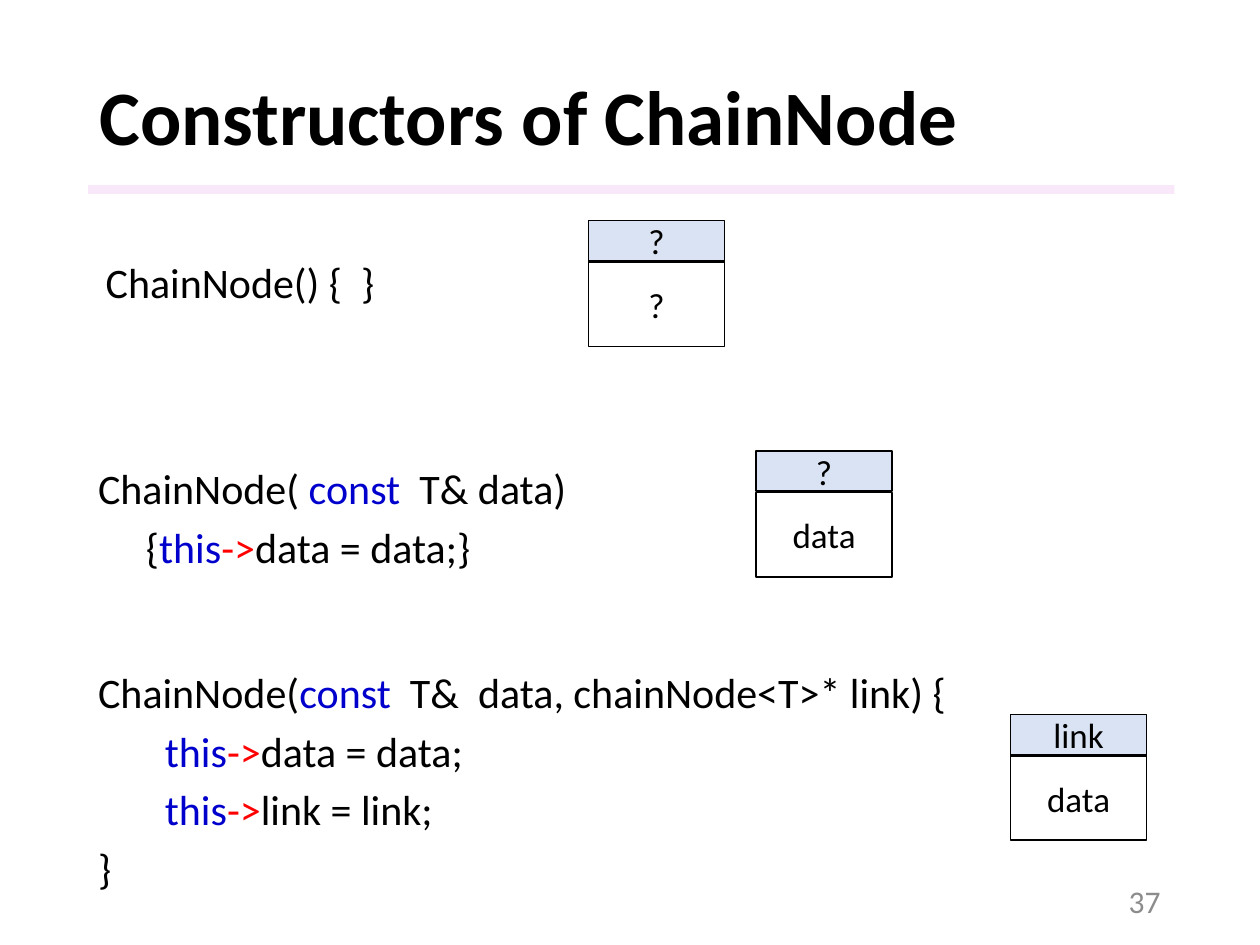
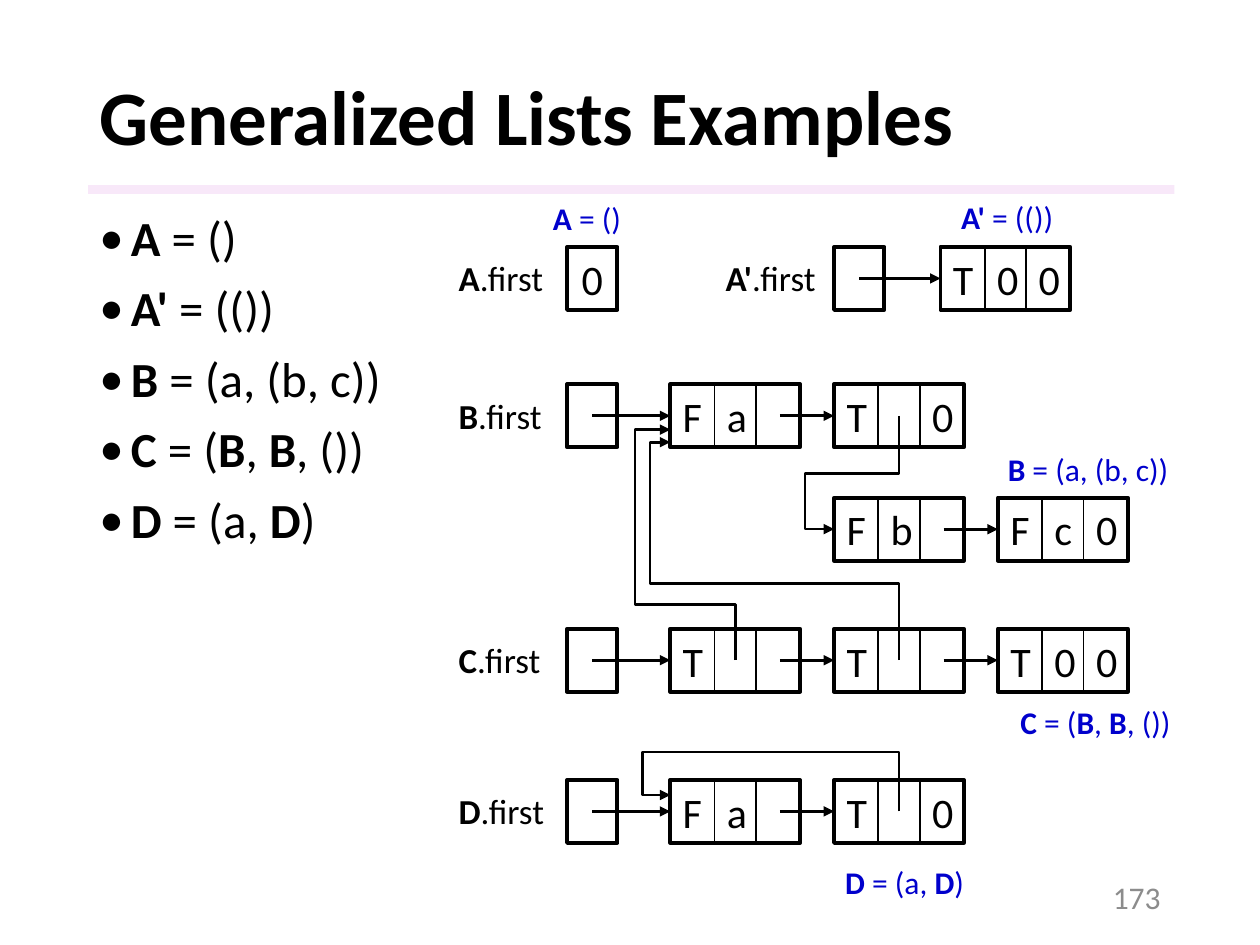
"""Build two lecture slides on chain nodes and generalized lists."""
from lxml.etree import SubElement
from pptx import Presentation
from pptx.dml.color import RGBColor
from pptx.enum.shapes import MSO_CONNECTOR, MSO_SHAPE
from pptx.enum.text import MSO_ANCHOR, MSO_AUTO_SIZE, PP_ALIGN
from pptx.oxml.ns import qn
from pptx.util import Inches, Pt

BLACK = RGBColor(0x00, 0x00, 0x00)
BLUE = RGBColor(0x00, 0x00, 0xCC)
RED = RGBColor(0xFF, 0x00, 0x00)
GREY = RGBColor(0x8C, 0x8C, 0x8C)
PINK = RGBColor(0xF3, 0xD2, 0xF4)
PALE = RGBColor(0xDA, 0xE3, 0xF3)
FONT = "Calibri"

TINTS = {"const": BLUE, "this": BLUE, "->": RED}
NAMES = {"A", "A'", "B", "C", "D"}

CODE = [
    (0.74, 2.03, 2.83, 0.58, [(0, "ChainNode() {  }")]),
    (0.68, 3.62, 5.37, 0.99, [
        (0, "ChainNode( |const|  T& data)"),
        (0.38, "{|this|->|data = data;}")]),
    (0.68, 5.24, 8.08, 1.96, [
        (0, "ChainNode(|const|  T&  data, chainNode<T>* link) {"),
        (0.53, "this|->|data = data;"),
        (0.53, "this|->|link = link;"),
        (0, "}")]),
]
PAIRS = [(4.67, 1.75, "?", "?"), (6, 3.58, "?", "data"),
         (8.02, 5.67, "link", "data")]

LISTS = ["A| = ()", "A'| = (())", "B| = (a, (b, c))",
         "C| = (|B|, |B|, ())", "D| = (a, |D|)"]
SPOTS = [(4.29, 1.53, 0.75), (7.53, 1.52, 0.96), (7.9, 3.52, 1.5),
         (8, 5.53, 1.41), (6.61, 6.8, 1.16)]
LEFT, STEP = 5.32, 1.3
ROWS = [1.96, 3.05, 3.95, 4.99, 6.19]
CELLS = [0.35, 0.33, 0.35]
HEAD, TALL = 0.4, 0.5
HEADS = {"A": (-0.63, 0, "0"), "A'": (1, 0, ""), "B": (-0.63, 1, ""),
         "C": (-0.63, 3, ""), "D": (-0.63, 4, "")}
NODES = {
    "A'1": (1.65, 0, "T00"),
    "B1": (0, 1, "Fa "), "B2": (1, 1, "T 0"),
    "B3": (1, 2, "Fb "), "B4": (2, 2, "Fc0"),
    "C1": (0, 3, "T  "), "C2": (1, 3, "T  "), "C3": (2, 3, "T00"),
    "D1": (0, 4, "Fa "), "D2": (1, 4, "T 0"),
}
LINKS = [("A'", "A'1"), ("B", "B1"), ("B1", "B2"), ("B3", "B4"), ("C", "C1"),
         ("C1", "C2"), ("C2", "C3"), ("D", "D1"), ("D1", "D2")]
WIRES = [("B2", "B3", 3.76, 6.39, 0), ("C2", "B1", 4.63, 5.16, 0.21),
         ("C1", "B1", 4.8, 5.04, 0.11), ("D2", "D1", 5.97, 5.1, -0.13)]


def place(*nums):
    return [Inches(n) for n in nums]


def write(para, text, size, color=BLACK, bold=False):
    for part in text.split("|"):
        run = para.add_run()
        run.text = part
        run.font.name = FONT
        run.font.size = Pt(size)
        run.font.bold = bold or part in NAMES
        run.font.color.rgb = TINTS.get(part, color)


def label(slide, box, lines, size, color=BLACK, bold=False, wrap=True, mid=False):
    frame = slide.shapes.add_textbox(*place(*box)).text_frame
    frame.word_wrap = wrap
    if not wrap:
        frame.auto_size = MSO_AUTO_SIZE.SHAPE_TO_FIT_TEXT
    if mid:
        frame.vertical_anchor = MSO_ANCHOR.MIDDLE
    for i, line in enumerate(lines):
        para = frame.add_paragraph() if i else frame.paragraphs[0]
        write(para, line, size, color, bold)
    return frame.paragraphs


def rect(slide, box, text="", size=24, fill=None, line=1):
    shape = slide.shapes.add_shape(MSO_SHAPE.RECTANGLE, *place(*box))
    shape.shadow.inherit = False
    if fill is None:
        shape.fill.background()
    else:
        shape.fill.solid()
        shape.fill.fore_color.rgb = fill
    if line:
        shape.line.color.rgb = BLACK
        shape.line.width = Pt(line)
    else:
        shape.line.fill.background()
    if text.strip():
        shape.text_frame.vertical_anchor = MSO_ANCHOR.MIDDLE
        para = shape.text_frame.paragraphs[0]
        para.alignment = PP_ALIGN.CENTER
        write(para, text, size)
    return shape


def arrow(shape):
    shape.line.color.rgb = BLACK
    shape.line.width = Pt(1.5)
    SubElement(shape.line._get_or_add_ln(), qn("a:tailEnd"), type="triangle")


def base(deck, title, page, top):
    slide = deck.slides.add_slide(deck.slide_layouts[6])
    band = rect(slide, (0.7, 1.47, 8.62, 0.07), fill=PINK, line=0)
    tone = band._element.spPr.find(qn("a:solidFill"))[0]
    SubElement(tone, qn("a:alpha"), val="50000")
    head = label(slide, (0.69, 0.4, 8.62, 1.11), [title], 44, bold=True, mid=True)
    head[0].line_spacing = 0.9
    foot = label(slide, (7.06, top, 2.25, 0.4), [page], 18, GREY, mid=True)
    foot[0].alignment = PP_ALIGN.RIGHT
    return slide


def indent(para, left, hang):
    props = para._p.get_or_add_pPr()
    props.set("marL", str(Inches(left)))
    props.set("indent", str(Inches(hang)))
    return props


def chain(deck):
    slide = base(deck, "Constructors of ChainNode", "37", 6.95)
    for *box, lines in CODE:
        paras = label(slide, box, [text for _, text in lines], 24)
        for para, (left, _) in zip(paras, lines):
            indent(para, left, 0)
            para.space_before = Pt(4.8)
    first = slide.shapes[3].text_frame.paragraphs[0]
    first.line_spacing = 0.9
    first.space_before = Pt(10)
    for x, y, link, data in PAIRS:
        rect(slide, (x, y, 1.08, 0.32), link, 20, PALE)
        rect(slide, (x, y + 0.33, 1.08, 0.67), data, 20)


def lists(deck):
    slide = base(deck, "Generalized Lists Examples", "173", 6.92)
    for para in label(slide, (0.69, 1.65, 2.71, 5.58), LISTS, 28):
        para.line_spacing = 0.9
        para.space_before = Pt(10)
        props = indent(para, 0.25, -0.25)
        SubElement(props, qn("a:buFont"), typeface=FONT)
        SubElement(props, qn("a:buChar"), char="•")

    spots, frames = {}, {}
    for name, (col, row, text) in HEADS.items():
        x, y = LEFT + col * STEP, ROWS[row]
        wide = 0.81 + 0.07 * len(name)
        label(slide, (x - 0.96, y + 0.03, wide, 0.44), [name + "|.first"], 20, wrap=False)
        frames[name] = rect(slide, (x, y, HEAD, TALL), text, line=2.25)
        spots[name] = x, y + TALL / 2, HEAD / 2
    for name, (col, row, text) in NODES.items():
        x, y = LEFT + col * STEP, ROWS[row]
        for i, (wide, char) in enumerate(zip(CELLS, text)):
            rect(slide, (x + sum(CELLS[:i]), y, wide, TALL), char)
        frames[name] = rect(slide, (x, y, sum(CELLS), TALL), line=2.25)
        spots[name] = x, y + TALL / 2, 0.87

    for start, end in LINKS:
        x, y, shift = spots[start]
        ends = place(x + shift, y, spots[end][0], y)
        link = slide.shapes.add_connector(MSO_CONNECTOR.STRAIGHT, *ends)
        link.end_connect(frames[end], 1)
        arrow(link)
        SubElement(link._element.spPr, qn("a:effectLst"))
    for start, end, bend, side, drop in WIRES:
        x, y, _ = spots[start]
        x += sum(CELLS) / 2
        goal, level, _ = spots[end]
        level += drop
        turns = [(x, bend), (side, bend), (side, level), (goal, level)]
        pen = slide.shapes.build_freeform(*place(x, y))
        pen.add_line_segments([place(*turn) for turn in turns], close=False)
        wire = pen.convert_to_shape()
        wire.shadow.inherit = False
        wire.fill.background()
        arrow(wire)
    for (x, y, wide), text in zip(SPOTS, LISTS):
        label(slide, (x, y, wide, 0.4), [text], 18, BLUE, wrap=False)


def main():
    deck = Presentation()
    deck.slide_width, deck.slide_height = place(10, 7.5)
    chain(deck)
    lists(deck)
    deck.save("out.pptx")


if __name__ == "__main__":
    main()
